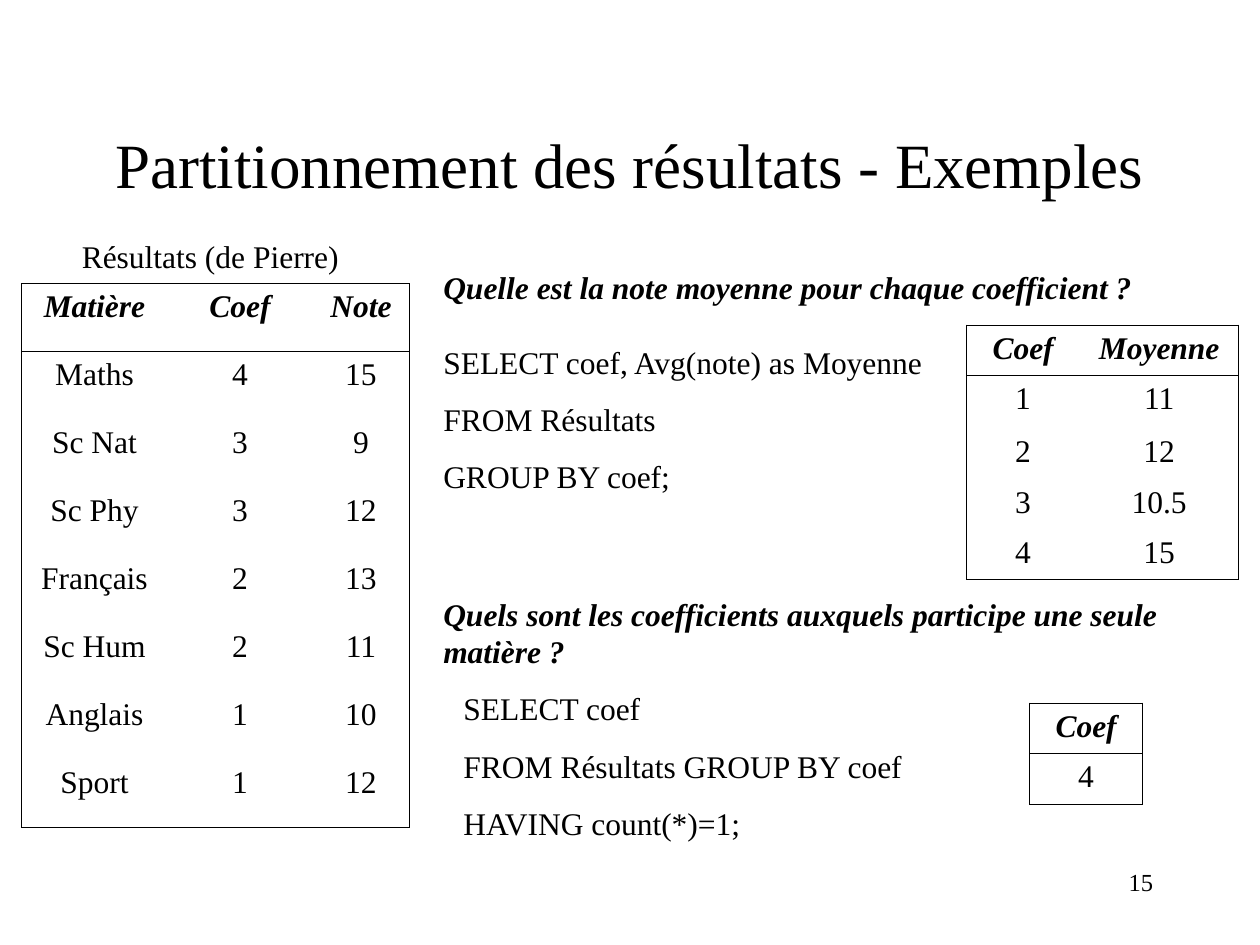
"""Build the slide on partitioning query results, with its tables and SQL examples."""
from lxml.etree import SubElement
from pptx import Presentation
from pptx.dml.color import RGBColor
from pptx.enum.text import MSO_ANCHOR, MSO_AUTO_SIZE, PP_ALIGN
from pptx.oxml.ns import qn
from pptx.util import Inches, Pt

THEME = {
    "font": "Times New Roman",
    "ink": "000000",
    "title": Pt(36),
    "body": Pt(18),
    "number": Pt(14),
    "border": Pt(0.45),
    "text_gap": Pt(11.2),
    "cell_gap": Pt(4.5),
}

TITLE = ("Partitionnement des résultats - Exemples", (0.75, 0.67, 8.5, 1.25))

EMPHASIS = {"bold": True, "italic": True}
TEXTS = [
    (["15"], (7.17, 6.83, 2.08, 0.5), PP_ALIGN.RIGHT, {"size": THEME["number"]}),
    (["Résultats (de Pierre)"], (0.17, 1.83, 3, 0.4), PP_ALIGN.CENTER, {}),
    (["SELECT coef, Avg(note) as Moyenne", "FROM Résultats", "GROUP BY coef;"],
     (3.42, 2.67, 4.17, 1.32), PP_ALIGN.LEFT, {}),
    (["Quelle est la note moyenne pour chaque coefficient ?"],
     (3.42, 2.08, 6.33, 0.4), PP_ALIGN.LEFT, EMPHASIS),
    (["Quels sont les coefficients auxquels participe une seule matière ?"],
     (3.42, 4.67, 6.33, 0.7), PP_ALIGN.LEFT, EMPHASIS),
    (["SELECT coef", "FROM Résultats GROUP BY coef", "HAVING count(*)=1;"],
     (3.58, 5.42, 3.83, 1.32), PP_ALIGN.LEFT, {}),
]

TABLES = [
    {
        "at": (0.17, 2.25),
        "columns": [1.16, 1.15, 0.77],
        "heights": [0.54] * 8,
        "rows": [
            ("Matière", "Coef", "Note"),
            ("Maths", "4", "15"),
            ("Sc Nat", "3", "9"),
            ("Sc Phy", "3", "12"),
            ("Français", "2", "13"),
            ("Sc Hum", "2", "11"),
            ("Anglais", "1", "10"),
            ("Sport", "1", "12"),
        ],
    },
    {
        "at": (7.67, 2.58),
        "columns": [0.9, 1.26],
        "heights": [0.4, 0.42, 0.4, 0.4, 0.4],
        "rows": [("Coef", "Moyenne"), ("1", "11"), ("2", "12"), ("3", "10.5"), ("4", "15")],
    },
    {
        "at": (8.17, 5.58),
        "columns": [0.9],
        "heights": [0.4, 0.4],
        "rows": [("Coef",), ("4",)],
    },
]


def write(text_frame, lines, align, gap, **font_values):
    values = {"name": THEME["font"], "size": THEME["body"], "bold": False, "italic": False}
    values.update(font_values)
    for index, line in enumerate(lines):
        paragraph = text_frame.paragraphs[0] if index == 0 else text_frame.add_paragraph()
        paragraph.alignment = align
        paragraph.space_before = gap
        run = paragraph.add_run()
        run.text = line
        for name, value in values.items():
            setattr(run.font, name, value)
        run.font.color.rgb = RGBColor.from_string(THEME["ink"])


def set_borders(cell, sides):
    properties = cell._tc.get_or_add_tcPr()
    for position, side in enumerate("LRTB"):
        line = SubElement(properties, qn(f"a:ln{side}"), w=str(THEME["border"]))
        if side in sides:
            fill = SubElement(line, qn("a:solidFill"))
            SubElement(fill, qn("a:srgbClr"), val=THEME["ink"])
        else:
            SubElement(line, qn("a:noFill"))
        properties.insert(position, line)


def add_text(slide, lines, box, align, font_values):
    text_frame = slide.shapes.add_textbox(*map(Inches, box)).text_frame
    text_frame.word_wrap = True
    write(text_frame, lines, align, THEME["text_gap"], **font_values)


def add_result_table(slide, at, columns, heights, rows):
    box = (*at, sum(columns), sum(heights))
    table = slide.shapes.add_table(len(rows), len(columns), *map(Inches, box)).table
    table.first_row = table.horz_banding = False
    for column, width in zip(table.columns, columns):
        column.width = Inches(width)
    last_row, last_column = len(rows) - 1, len(columns) - 1
    for row_index, values in enumerate(rows):
        table.rows[row_index].height = Inches(heights[row_index])
        for column_index, value in enumerate(values):
            cell = table.cell(row_index, column_index)
            cell.fill.background()
            edges = {
                "L": column_index == 0,
                "R": column_index == last_column,
                "T": row_index <= 1,
                "B": row_index in (0, last_row),
            }
            set_borders(cell, [side for side, drawn in edges.items() if drawn])
            emphasis = EMPHASIS if row_index == 0 else {}
            write(cell.text_frame, [value], PP_ALIGN.CENTER, THEME["cell_gap"], **emphasis)


def add_title(slide, text, box):
    title = slide.shapes.title
    for name, value in zip(("left", "top", "width", "height"), box):
        setattr(title, name, Inches(value))
    frame_values = {"vertical_anchor": MSO_ANCHOR.MIDDLE, "auto_size": MSO_AUTO_SIZE.NONE}
    for name, value in frame_values.items():
        setattr(title.text_frame, name, value)
    write(title.text_frame, [text], PP_ALIGN.CENTER, Pt(0), size=THEME["title"])


def main():
    presentation = Presentation()
    presentation.slide_width, presentation.slide_height = Inches(10), Inches(7.5)
    slide = presentation.slides.add_slide(presentation.slide_layouts[5])
    add_title(slide, *TITLE)
    for text in TEXTS:
        add_text(slide, *text)
    for table in TABLES:
        add_result_table(slide, **table)
    presentation.save("out.pptx")


if __name__ == "__main__":
    main()
